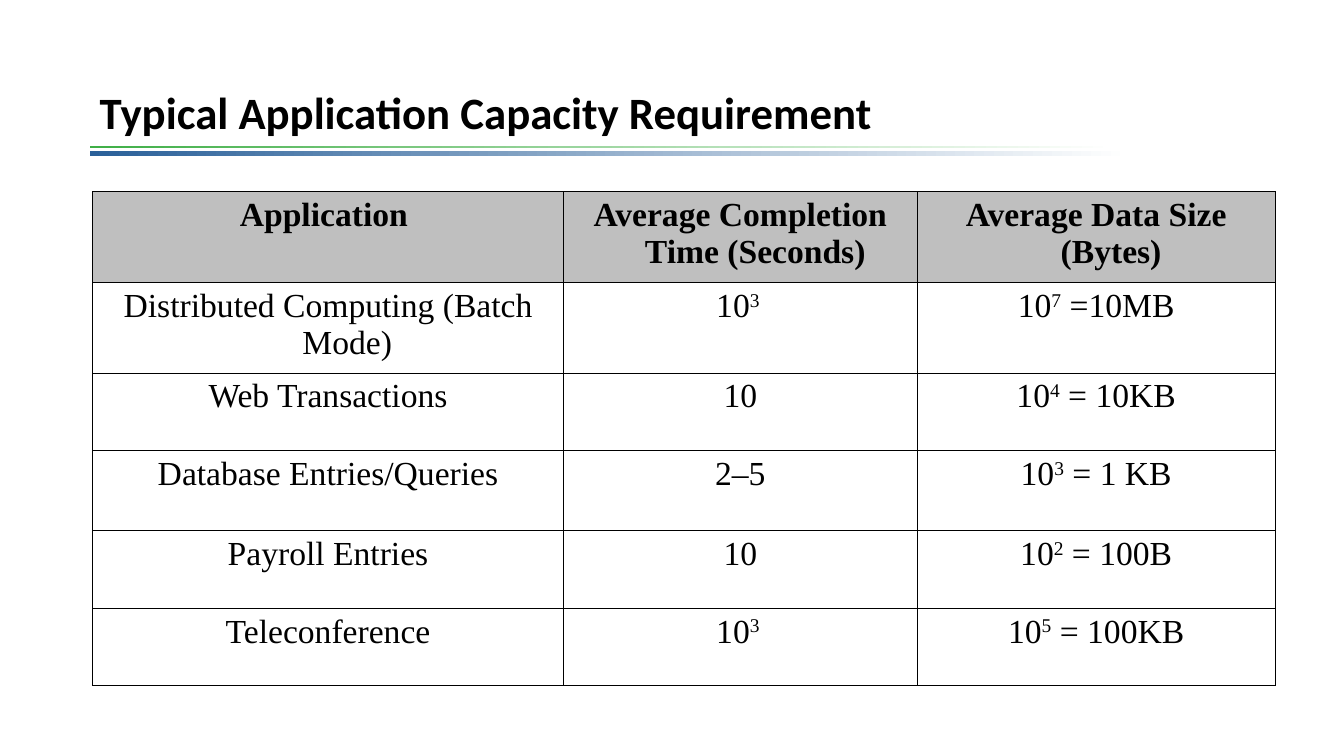
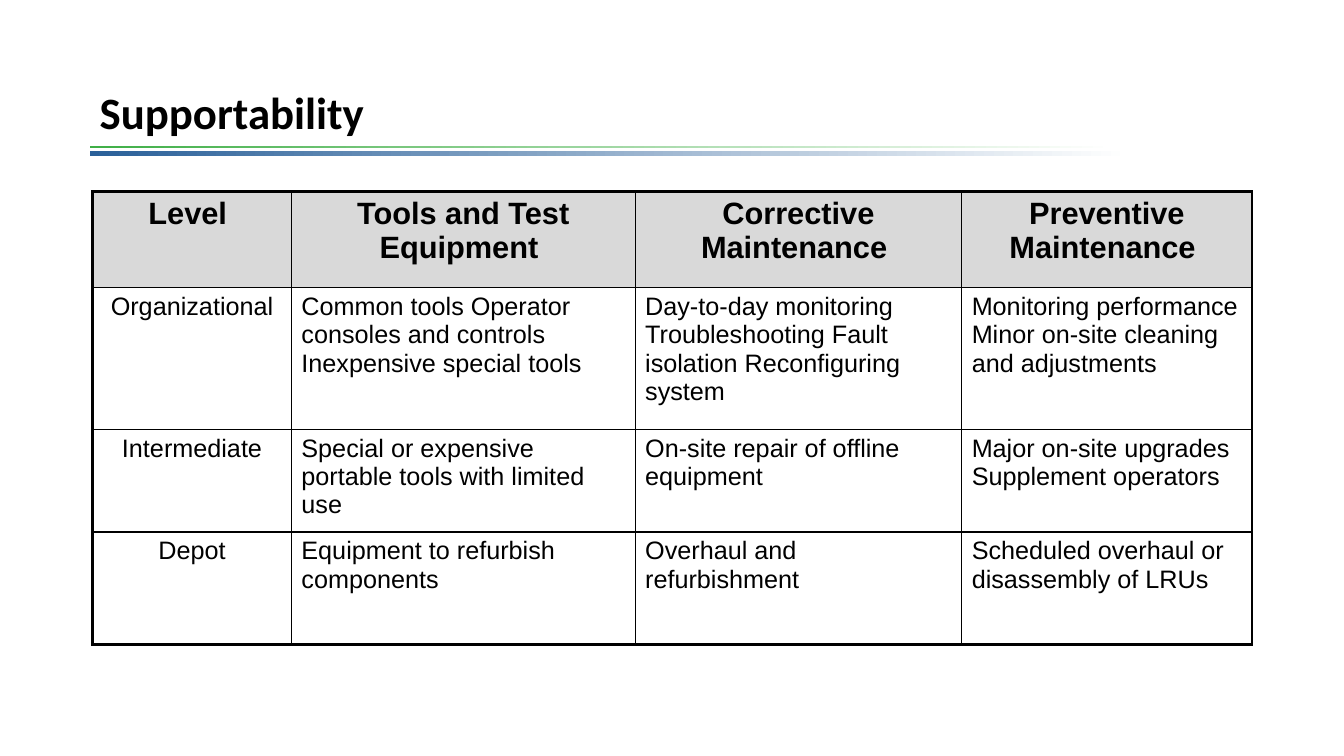
"""Build two table slides about capacity needs and supportability."""
from lxml.etree import SubElement
from pptx import Presentation
from pptx.dml.color import RGBColor
from pptx.enum.shapes import MSO_SHAPE
from pptx.enum.text import MSO_ANCHOR, PP_ALIGN
from pptx.oxml.ns import qn
from pptx.util import Inches, Pt

BLACK = RGBColor(0x00, 0x00, 0x00)
WHITE = RGBColor(0xFF, 0xFF, 0xFF)
BLUE = RGBColor(0x2A, 0x60, 0x99)
GREEN = RGBColor(0x3F, 0xAF, 0x46)
MID_GREY = RGBColor(0xBF, 0xBF, 0xBF)
LIGHT_GREY = RGBColor(0xD9, 0xD9, 0xD9)

LEFT = 6.68
BANDS = ((20, 77.4, 0.67, BLUE), (19.33, 76.2, 0.3, GREEN))
TITLE_FORMAT = {"name": "Calibri", "size": Pt(32), "bold": True}

CAPACITY = {
    "columns": (35.02, 26.33, 26.63),
    "rows": (11.5, 11.5, 10.25, 10.6, 10.25, 10.25),
    "header": {"name": "Times New Roman", "size": Pt(24), "bold": True},
    "body": {"name": "Times New Roman", "size": Pt(24), "bold": False},
    "header_fill": MID_GREY,
    "centred_columns": 3,
    "hanging": 0.38,
    "inner_line": 0.75,
    "outer_line": 0.75,
    "cells": (
        ("Application ", "Average Completion Time (Seconds) ", "Average Data Size (Bytes) "),
        ("Distributed Computing (Batch Mode)", "10^3 ", "10^7^ =10MB"),
        ("Web Transactions", "10", "10^4^ = 10KB"),
        ("Database Entries/Queries", "2–5", "10^3^ = 1 KB"),
        ("Payroll Entries", "10", "10^2^ = 100B"),
        ("Teleconference", "10^3 ", "10^5^ = 100KB"),
    ),
}

SUPPORT = {
    "columns": (14.78, 25.58, 24.3, 21.6),
    "rows": (12.75, 18.7, 13.6, 14.9),
    "header": {"name": "Arial", "size": Pt(22), "bold": True},
    "body": {"name": "Arial", "size": Pt(18), "bold": False},
    "header_fill": LIGHT_GREY,
    "centred_columns": 1,
    "hanging": 0,
    "inner_line": 1,
    "outer_line": 2.25,
    "cells": (
        ("Level ", "Tools and Test Equipment ", "Corrective Maintenance ", "Preventive Maintenance "),
        (
            "Organizational",
            "Common tools Operator consoles and controls Inexpensive special tools",
            "Day-to-day monitoring Troubleshooting Fault isolation Reconfiguring system",
            "Monitoring performance Minor on-site cleaning and adjustments",
        ),
        (
            "Intermediate",
            "Special or expensive portable tools with limited use",
            "On-site repair of offline equipment",
            "Major on-site upgrades Supplement operators",
        ),
        (
            "Depot",
            "Equipment to refurbish components",
            "Overhaul and refurbishment",
            "Scheduled overhaul or disassembly of LRUs",
        ),
    ),
}


class Deck:
    """Hold the shared style and the current slide; lengths are percent of the slide."""

    def __init__(self):
        self.presentation = Presentation()
        self.presentation.slide_width = Inches(13.33)
        self.presentation.slide_height = Inches(7.5)
        self.slide = None

    def across(self, share):
        return round(self.presentation.slide_width * share / 100)

    def down(self, share):
        return round(self.presentation.slide_height * share / 100)

    def box(self, left, top, width, height):
        return self.across(left), self.down(top), self.across(width), self.down(height)

    def add_slide(self, title):
        self.slide = self.presentation.slides.add_slide(self.presentation.slide_layouts[6])
        for band in BANDS:
            self.add_band(*band)
        self.add_title(title)

    def add_band(self, top, width, height, color):
        shape = self.slide.shapes.add_shape(MSO_SHAPE.RECTANGLE, *self.box(LEFT, top, width, height))
        shape.shadow.inherit = False
        shape.line.fill.background()
        shape.fill.gradient()
        shape.fill.gradient_angle = 0
        for stop, stop_color in zip(shape.fill.gradient_stops, (color, WHITE)):
            stop.color.rgb = stop_color

    def add_title(self, text):
        frame = self.slide.shapes.add_textbox(*self.box(LEFT, 7.6, 86.25, 15.2)).text_frame
        frame.word_wrap = True
        frame.vertical_anchor = MSO_ANCHOR.MIDDLE
        paragraph = frame.paragraphs[0]
        paragraph.line_spacing = 0.9
        self.add_text(paragraph, text, TITLE_FORMAT)

    def add_text(self, paragraph, text, formats):
        for index, piece in enumerate(text.split("^")):
            if not piece:
                continue
            run = paragraph.add_run()
            run.text = piece
            run.font.color.rgb = BLACK
            for name, value in formats.items():
                setattr(run.font, name, value)
            if index % 2:
                run._r.get_or_add_rPr().set("baseline", "30000")

    def add_table(self, style):
        columns, rows = style["columns"], style["rows"]
        table = self.slide.shapes.add_table(
            len(rows), len(columns), *self.box(6.9, 25.33, sum(columns), sum(rows))
        ).table
        table.first_row = table.horz_banding = False
        for column, share in zip(table.columns, columns):
            column.width = self.across(share)
        for row, share in zip(table.rows, rows):
            row.height = self.down(share)
        for row_index, texts in enumerate(style["cells"]):
            for column_index, text in enumerate(texts):
                self.fill_cell(table, row_index, column_index, text, style)

    def fill_cell(self, table, row, column, text, style):
        cell = table.cell(row, column)
        outer_edges = {
            "lnL": column == 0,
            "lnR": column == len(style["columns"]) - 1,
            "lnT": row == 0,
            "lnB": row == len(style["rows"]) - 1,
        }
        for edge, is_outer in outer_edges.items():
            self.add_border(cell, edge, style["outer_line" if is_outer else "inner_line"])
        if row == 0:
            cell.fill.solid()
            cell.fill.fore_color.rgb = style["header_fill"]
        else:
            cell.fill.background()
        paragraph = cell.text_frame.paragraphs[0]
        centred = row == 0 or column < style["centred_columns"]
        paragraph.alignment = PP_ALIGN.CENTER if centred else PP_ALIGN.LEFT
        if style["hanging"]:
            indent = Inches(style["hanging"])
            properties = paragraph._p.get_or_add_pPr()
            properties.set("marL", str(indent))
            properties.set("indent", str(-indent))
        self.add_text(paragraph, text, style["body" if row else "header"])

    def add_border(self, cell, edge, points):
        properties = cell._tc.get_or_add_tcPr()
        line = SubElement(properties, qn(f"a:{edge}"), w=str(Pt(points)))
        fill = SubElement(line, qn("a:solidFill"))
        SubElement(fill, qn("a:srgbClr"), val=str(BLACK))


def main():
    deck = Deck()
    deck.add_slide("Typical Application Capacity Requirement")
    deck.add_table(CAPACITY)
    deck.add_slide("Supportability")
    deck.add_table(SUPPORT)
    deck.presentation.save("out.pptx")


if __name__ == "__main__":
    main()
